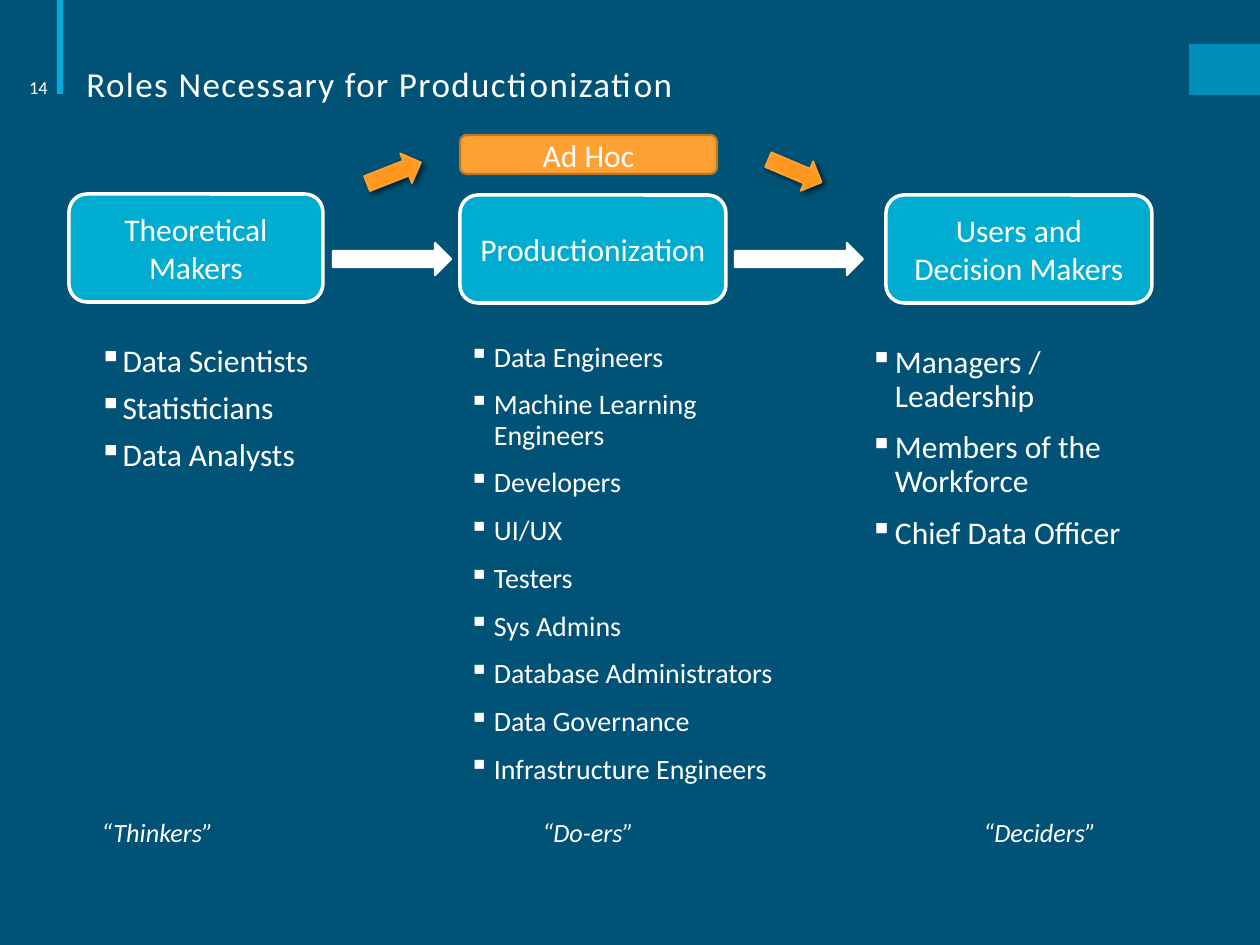
from lxml.etree import fromstring
from pptx import Presentation
from pptx.dml.color import RGBColor
from pptx.enum.shapes import MSO_SHAPE
from pptx.enum.text import MSO_ANCHOR, PP_ALIGN
from pptx.oxml.ns import nsdecls, qn
from pptx.util import Pt

SCALE = 914400 / 126
WHITE, NAVY, CYAN, BLUE = "FFFFFF", "005376", "00ACD9", "00ADD0"
ORANGE, BROWN = "FFA033", "BD7626"
GLOW = ((0, "FF961E"), (34, "FF9821"), (70, "FF9A25"), (100, ORANGE))


def px(n):
    return round(n * SCALE)


def rgb(c):
    return RGBColor.from_string(c)


def xml(tag, attrs="", inner=""):
    return fromstring(f'<a:{tag} {nsdecls("a")} {attrs}>{inner}</a:{tag}>')


def add_run(p, text, size, italic=False):
    r = p.add_run()
    r.text = text
    r.font.name = "Calibri"
    r.font.size = Pt(size)
    r.font.italic = italic
    r.font.color.rgb = rgb(WHITE)
    return r


def add_box(s, box, anchor=MSO_ANCHOR.TOP):
    tf = s.shapes.add_textbox(*map(px, box)).text_frame
    tf.word_wrap = True
    tf.vertical_anchor = anchor
    return tf


def add_block(s, kind, box, fill, line=None, width=1):
    sp = s.shapes.add_shape(kind, *map(px, box))
    sp.shadow.inherit = False
    sp.fill.solid()
    sp.fill.fore_color.rgb = rgb(fill)
    if line:
        sp.line.color.rgb = rgb(line)
        sp.line.width = Pt(width)
    else:
        sp.line.fill.background()
    return sp


def add_header(s, box, title, number):
    x, y, w, h = box
    add_block(s, MSO_SHAPE.RECTANGLE, (x + 57, y, 6, 94), CYAN)
    tab = add_block(s, MSO_SHAPE.RECTANGLE, (x + w - 71, y + 44, 71, 51), CYAN)
    color = next(tab.element.spPr.iter(qn("a:srgbClr")))
    color.append(xml("alpha", 'val="67000"'))

    p = add_box(s, (x + 74, y + 33, 1040, h - 33), MSO_ANCHOR.BOTTOM).paragraphs[0]
    p.line_spacing = 0.85
    r = add_run(p, title, 20)
    r.font.element.set("spc", "80") if hasattr(r.font, "element") else r._r.get_or_add_rPr().set("spc", "80")

    p = add_box(s, (x + 6, y + 62, 54, 50), MSO_ANCHOR.MIDDLE).paragraphs[0]
    p.alignment = PP_ALIGN.RIGHT
    add_run(p, number, 10.5)


def add_role(s, box, lines, fill=BLUE, line=WHITE, width=2):
    sp = add_block(s, MSO_SHAPE.ROUNDED_RECTANGLE, box, fill, line, width)
    tf = sp.text_frame
    tf.word_wrap = True
    tf.vertical_anchor = MSO_ANCHOR.MIDDLE
    for i, text in enumerate(lines):
        p = tf.add_paragraph() if i else tf.paragraphs[0]
        p.alignment = PP_ALIGN.CENTER
        add_run(p, text, 18)


def add_list(s, box, items, size, after, left, hang, inset):
    tf = add_box(s, box)
    tf.margin_left = tf.margin_right = 0
    tf.margin_top = tf.margin_bottom = px(inset)
    for i, text in enumerate(items):
        p = tf.add_paragraph() if i else tf.paragraphs[0]
        p.level = 1
        p.line_spacing = 0.9
        p.space_after = Pt(after)
        pPr = p._p.get_or_add_pPr()
        pPr.set("marL", str(px(left)))
        pPr.set("indent", str(-px(hang)))
        pPr.append(xml("buClr", inner=f'<a:srgbClr val="{WHITE}"/>'))
        pPr.append(xml("buChar", 'char="▪"'))
        add_run(p, text, size)


def add_glow_arrow(s, box, rotation):
    sp = add_block(s, MSO_SHAPE.RIGHT_ARROW, box, ORANGE, ORANGE)
    sp.rotation = rotation
    spPr = sp.element.spPr
    stops = "".join(f'<a:gs pos="{pos * 1000}"><a:srgbClr val="{c}"/></a:gs>' for pos, c in GLOW)
    sides = " ".join(f'{side}="100000"' for side in "ltrb")
    path = f'<a:path path="circle"><a:fillToRect {sides}/></a:path>'
    spPr.replace(spPr.find(qn("a:solidFill")),
                 xml("gradFill", 'rotWithShape="1"', f"<a:gsLst>{stops}</a:gsLst>{path}"))
    spPr.find(qn("a:effectLst")).append(
        xml("outerShdw", f'blurRad="{Pt(3)}" dist="{Pt(2)}" dir="2700000" rotWithShape="0"',
            '<a:srgbClr val="000000"><a:alpha val="60000"/></a:srgbClr>'))


def add_flow(s, box):
    x, y, w, h = box
    for ax, aw in ((264, 118), (666, 128)):
        add_block(s, MSO_SHAPE.RIGHT_ARROW, (x + ax, y + 108, aw, 32), WHITE, WHITE, 1.25)
    add_role(s, (x, y + 59, 254, 108), ("Theoretical", "Makers"))
    add_role(s, (x + 391, y + 60, 266, 108), ("Productionization",))
    add_role(s, (x + w - 266, y + 60, 266, 108), ("Users and Decision Makers",))
    add_role(s, (x + 391, y, 257, 39), ("Ad Hoc",), ORANGE, BROWN, 1.25)
    add_glow_arrow(s, (x + 296, y + 22, 58, 32), 338.5)
    add_glow_arrow(s, (x + 697, y + 20, 58, 32), 23)


def add_members(s, box):
    x, y, w, h = box
    add_list(s, (x, y + 1, w, h), ("Data Scientists", "Statisticians", "Data Analysts"),
             18, 7.5, 39, 19, 6)
    add_list(s, (x + 362, y, w, h),
             ("Data Engineers", "Machine Learning Engineers", "Developers", "UI/UX", "Testers",
              "Sys Admins", "Database Administrators", "Data Governance",
              "Infrastructure Engineers"), 16, 10, 53, 25, 5)
    add_list(s, (x + 763, y + 3, w, h),
             ("Managers / Leadership", "Members of the Workforce", "Chief Data Officer"),
             18, 10, 53, 25, 5)


def add_nicknames(s, box, names, step):
    p = add_box(s, box).paragraphs[0]
    stops = "".join(f'<a:tab pos="{px(step * i)}" algn="l"/>' for i in range(1, len(names)))
    p._p.get_or_add_pPr().append(xml("tabLst", inner=stops))
    add_run(p, "\t".join(names), 15, italic=True)


def main():
    prs = Presentation()
    prs.slide_width, prs.slide_height = px(1260), px(945)
    s = prs.slides.add_slide(prs.slide_layouts[6])
    s.background.fill.solid()
    s.background.fill.fore_color.rgb = rgb(NAVY)
    add_header(s, (0, 0, 1260, 111), "Roles Necessary for Productionization", "14")
    add_members(s, (79, 338, 344, 484))
    add_nicknames(s, (89, 810, 1118, 44), ("“Thinkers”", "“Do-ers”", "“Deciders”"), 441)
    add_flow(s, (69, 135, 1083, 168))
    prs.save("out.pptx")


if __name__ == "__main__":
    main()
